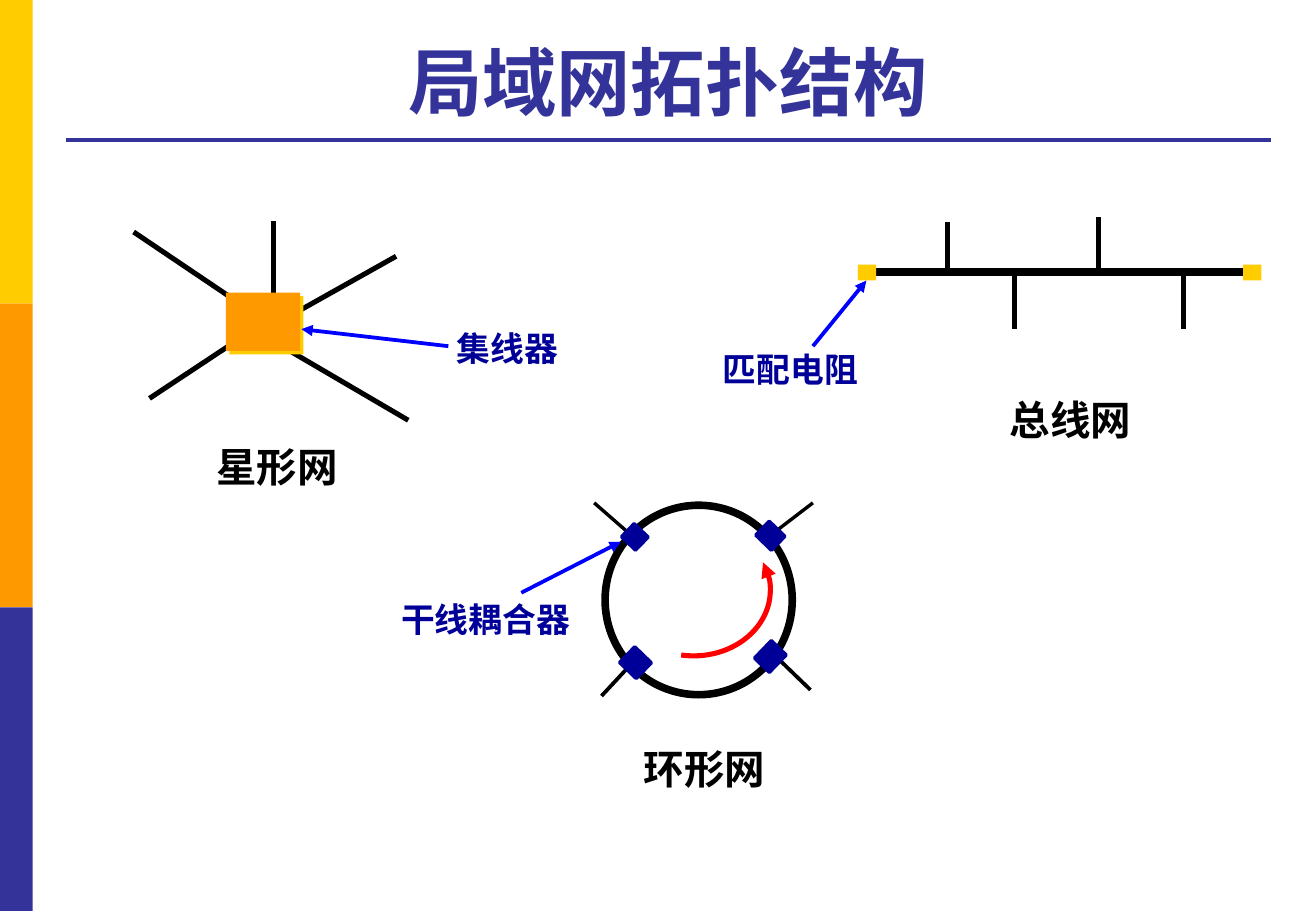
from collections import namedtuple

from lxml.etree import SubElement
from pptx import Presentation
from pptx.dml.color import RGBColor
from pptx.enum.shapes import MSO_CONNECTOR, MSO_SHAPE
from pptx.enum.text import MSO_ANCHOR, PP_ALIGN
from pptx.oxml.ns import qn
from pptx.util import Emu, Pt

EMU_PER_PX = 9144
CJK_FONT = "Noto Sans CJK SC"
YELLOW, ORANGE, INDIGO = "FFCC00", "FF9900", "333399"
BLACK, WHITE, NAVY, BLUE, RED = "000000", "FFFFFF", "000099", "0000FF", "FF0000"

Box = namedtuple("Box", "left top width height")


def px(length):
    """Turn whole px into EMU."""
    return Emu(round(length * EMU_PER_PX))


def rgb(code):
    """Turn a hex string into a colour."""
    return RGBColor.from_string(code)


def add_arrowhead(part):
    """Put a triangle at the start of a line."""
    SubElement(part.line._get_or_add_ln(), qn("a:headEnd"), type="triangle")


def add_line(slide, box, start, end, color=BLACK, weight=3, arrow=False):
    """Draw a straight line between two points of the box."""
    line = slide.shapes.add_connector(
        MSO_CONNECTOR.STRAIGHT,
        px(box.left + start[0]), px(box.top + start[1]),
        px(box.left + end[0]), px(box.top + end[1]))
    line.line.color.rgb = rgb(color)
    line.line.width = Pt(weight)
    SubElement(line._element.spPr, qn("a:effectLst"))
    if arrow:
        add_arrowhead(line)


def add_block(slide, box, place, kind=MSO_SHAPE.RECTANGLE, fill=None,
              outline=None, weight=2, rotation=0):
    """Draw a preset shape at a place within the box."""
    left, top, width, height = place
    block = slide.shapes.add_shape(
        kind, px(box.left + left), px(box.top + top), px(width), px(height))
    block.shadow.inherit = False
    block.rotation = rotation
    if fill:
        block.fill.solid()
        block.fill.fore_color.rgb = rgb(fill)
    else:
        block.fill.background()
    if outline:
        block.line.color.rgb = rgb(outline)
        block.line.width = Pt(weight)
    else:
        block.line.fill.background()
    return block


def add_text(slide, box, place, text, size=24, font=CJK_FONT, color=BLACK,
             align=PP_ALIGN.LEFT, anchor=MSO_ANCHOR.TOP, wrap=False):
    """Write one bold line of text at a place within the box."""
    left, top, width, height = place
    frame = slide.shapes.add_textbox(
        px(box.left + left), px(box.top + top), px(width), px(height)).text_frame
    frame.word_wrap = wrap
    frame.vertical_anchor = anchor
    paragraph = frame.paragraphs[0]
    paragraph.alignment = align
    run = paragraph.add_run()
    run.text = text
    run.font.name = font
    run.font.size = Pt(size)
    run.font.bold = True
    run.font.color.rgb = rgb(color)
    SubElement(run._r.get_or_add_rPr(), qn("a:ea"), typeface=CJK_FONT)


def draw_sidebar(slide, box):
    """Stack three equal colour bands."""
    band_height = box.height / 3
    for row, color in enumerate((YELLOW, ORANGE, INDIGO)):
        add_block(slide, box, (0, row * band_height, box.width, band_height), fill=color)


def draw_heading(slide, box):
    """Write the title above its rule."""
    add_line(slide, box, (0, box.height), (box.width, box.height), INDIGO, 2.25)
    add_text(slide, box, (0, 0, box.width, 87), "局域网拓扑结构", size=44, font="Arial",
             color=INDIGO, align=PP_ALIGN.CENTER, anchor=MSO_ANCHOR.BOTTOM, wrap=True)


def draw_ring(slide, box):
    """Draw the ring network with its trunk couplers."""
    taps = [((216, 28), (184, 0), 2), ((364, 0), (330, 26), 2),
            ((362, 154), (332, 125), 2.25), ((217, 130), (190, 159), 2.25)]
    for start, end, weight in taps:
        add_line(slide, box, start, end, weight=weight)
    add_block(slide, box, (193, 2, 154, 156), MSO_SHAPE.OVAL, WHITE, BLACK, 4.5)
    couplers = [(210, 20, 15, 16), (319, 118, 20, 17), (321, 18, 16, 18), (209, 122, 18, 19)]
    for coupler in couplers:
        add_block(slide, box, coupler, fill=NAVY, outline=NAVY, rotation=314)
    add_line(slide, box, (206, 32), (124, 74), BLUE, 2.25, arrow=True)
    flow = add_block(slide, box, (203, 18, 126, 108), MSO_SHAPE.ARC, outline=RED, weight=3)
    for index, degrees in enumerate((338, 101)):
        flow.adjustments[index] = degrees * 0.6
    add_arrowhead(flow)
    add_text(slide, box, (0, 74, 174, 43), "干线耦合器", size=20, font="Times New Roman",
             color=NAVY, align=PP_ALIGN.RIGHT, wrap=True)
    add_text(slide, box, (215, 194, 122, 51), "环形网")


def draw_star(slide, box):
    """Draw the star network around its hub."""
    spokes = [((89, 69), (0, 9)), ((115, 69), (115, 0)), ((84, 99), (13, 146)),
              ((115, 99), (226, 164)), ((127, 79), (216, 29))]
    for start, end in spokes:
        add_line(slide, box, start, end)
    hub = add_block(slide, box, (76, 59, 61, 48), fill=ORANGE)
    shadow = SubElement(hub._element.spPr.find(qn("a:effectLst")), qn("a:outerShdw"),
                        dist=str(Pt(2.8)), dir="2700000", algn="ctr", rotWithShape="0")
    SubElement(shadow, qn("a:srgbClr"), val=YELLOW)
    add_line(slide, box, (138, 89), (259, 103), BLUE, 2.25, arrow=True)
    add_text(slide, box, (256, 83, 105, 43), "集线器", size=20, font="Times New Roman", color=NAVY)
    add_text(slide, box, (58, 177, 122, 50), "星形网")


def draw_bus(slide, box):
    """Draw the bus network with a terminator at each end."""
    add_line(slide, box, (133, 45), (445, 45), weight=4.5)
    for left in (121, box.width - 15):
        add_block(slide, box, (left, 39, 15, 13), fill=YELLOW)
    for x, end in ((195, 4), (250, 92), (319, 0), (389, 92)):
        add_line(slide, box, (x, 46), (x, end))
    add_line(slide, box, (128, 52), (84, 106), BLUE, 2.25, arrow=True)
    add_text(slide, box, (0, 103, 133, 43), "匹配电阻", size=20, font="Arial", color=NAVY)
    add_text(slide, box, (236, 141, 122, 51), "总线网")


def main():
    """Build the slide and save it."""
    deck = Presentation()
    deck.slide_width, deck.slide_height = px(1083), px(750)
    slide = deck.slides.add_slide(deck.slide_layouts[6])
    draw_sidebar(slide, Box(0, 0, 27, 750))
    draw_heading(slide, Box(54, 21, 992, 94))
    draw_ring(slide, Box(305, 414, 364, 245))
    draw_star(slide, Box(110, 182, 361, 227))
    draw_bus(slide, Box(585, 179, 453, 192))
    deck.save("out.pptx")


if __name__ == "__main__":
    main()
